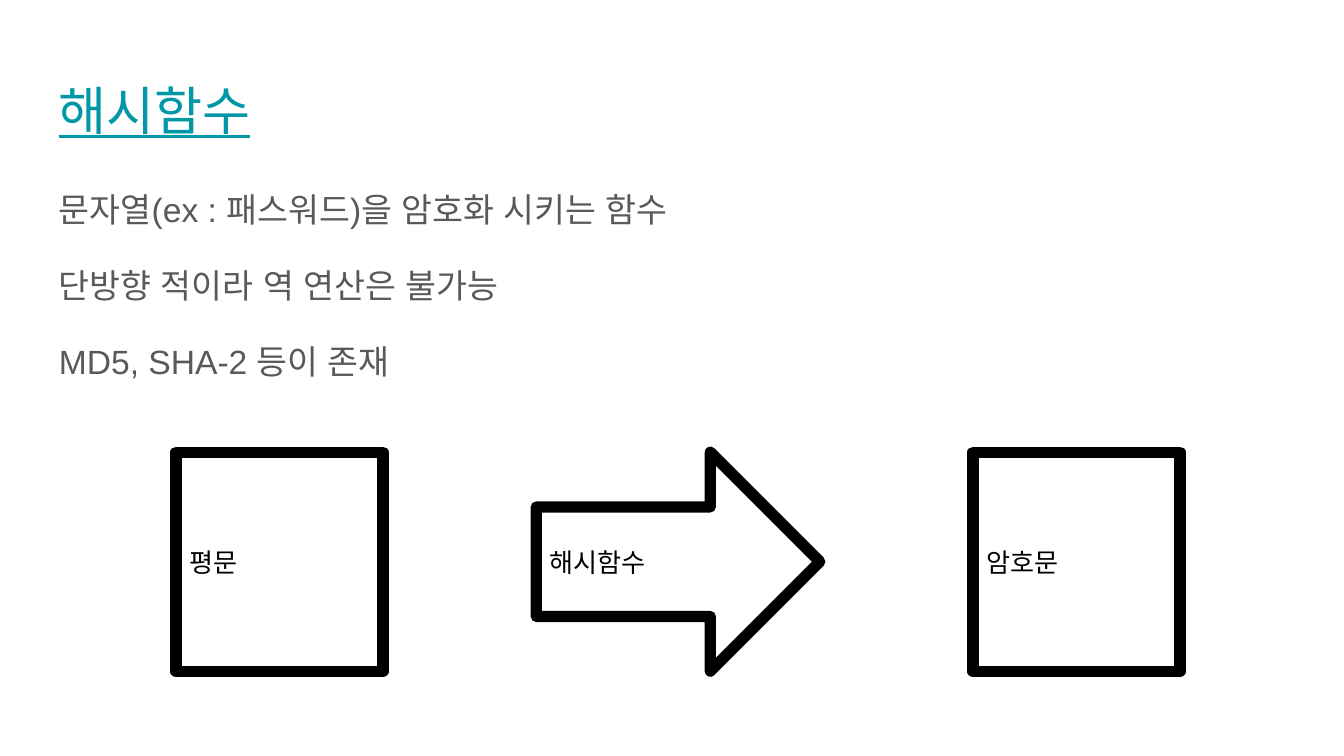
from lxml import etree
from pptx import Presentation
from pptx import util as u
from pptx.dml.color import RGBColor
from pptx.enum import shapes, text
from pptx.oxml import ns

PX = 4572
FONT = "Arial"
INK = {"title": "0097A7", "body": "595959", "line": "000000", "back": "FFFFFF"}


def color(name):
    return RGBColor.from_string(INK[name])


def scale(box):
    return [u.Emu(n * PX) for n in box]


def setup(frame, anchor):
    frame.word_wrap = True
    frame.vertical_anchor = anchor
    frame.margin_left = frame.margin_right = u.Emu(20 * PX)
    frame.margin_top = frame.margin_bottom = u.Emu(20 * PX)


def write(para, words, size, ink, under=None):
    para.alignment = text.PP_ALIGN.LEFT
    run = para.add_run()
    run.text = words
    font = run.font
    font.name = FONT
    font.size = u.Pt(size)
    font.color.rgb = color(ink)
    font.underline = under
    for tag in ("a:ea", "a:cs"):
        etree.SubElement(run._r.get_or_add_rPr(), ns.qn(tag), typeface=FONT)


def title(slide, box, words):
    frame = slide.shapes.add_textbox(*scale(box)).text_frame
    setup(frame, text.MSO_ANCHOR.TOP)
    write(frame.paragraphs[0], words, 28, "title", True)


def body(slide, box, lines):
    frame = slide.shapes.add_textbox(*scale(box)).text_frame
    setup(frame, text.MSO_ANCHOR.TOP)
    for i, words in enumerate(lines):
        para = frame.add_paragraph() if i else frame.paragraphs[0]
        para.line_spacing = 1.15
        if i:
            para.space_before = u.Pt(16)
        write(para, words, 18, "body")
    para.space_after = u.Pt(16)


def block(slide, kind, box, words):
    shape = slide.shapes.add_shape(kind, *scale(box))
    shape.shadow.inherit = False
    shape.fill.background()
    shape.line.color.rgb = color("line")
    shape.line.width = u.Pt(6)
    setup(shape.text_frame, text.MSO_ANCHOR.MIDDLE)
    write(shape.text_frame.paragraphs[0], words, 14, "line")


def flow(slide, box, ends, label):
    left, top, width, height = box
    kind = shapes.MSO_SHAPE
    side = 308
    for x, words in zip((left, left + width - side), ends):
        block(slide, kind.RECTANGLE, (x, top, side, height), words)
    block(slide, kind.RIGHT_ARROW, (left + 536, top, 422, height), label)


def main():
    deck = Presentation()
    deck.slide_width, deck.slide_height = scale((2000, 1125))
    slide = deck.slides.add_slide(deck.slide_layouts[6])
    slide.background.fill.solid()
    slide.background.fill.fore_color.rgb = color("back")
    title(slide, (68, 97, 1864, 125), "해시함수")
    body(slide, (68, 252, 1864, 747), (
        "문자열(ex : 패스워드)을 암호화 시키는 함수",
        "단방향 적이라 역 연산은 불가능",
        "MD5, SHA-2 등이 존재",
    ))
    flow(slide, (262, 673, 1494, 326), ("평문", "암호문"), "해시함수")
    deck.save("out.pptx")


if __name__ == "__main__":
    main()
